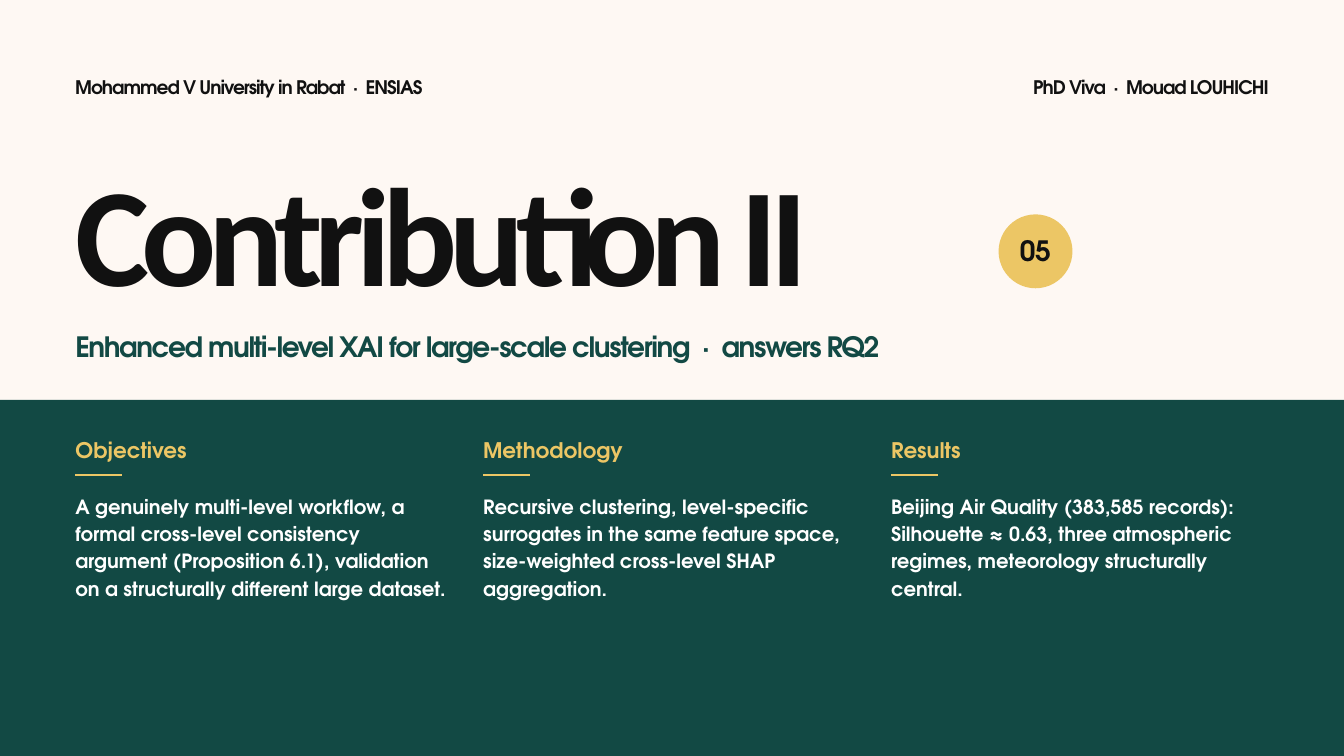
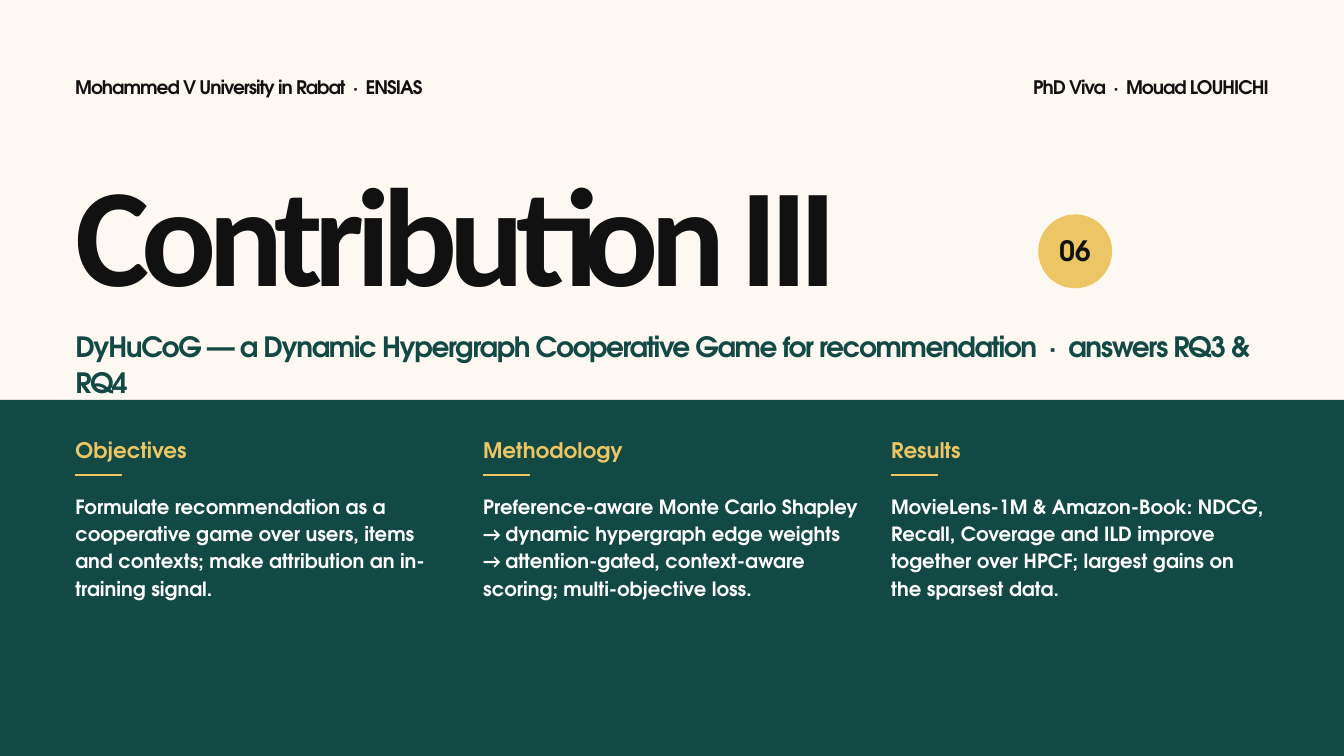
"""Build the two section-opening slides for Contributions II and III."""
from dataclasses import dataclass

from lxml.etree import SubElement
from pptx import Presentation
from pptx.dml.color import RGBColor as Color
from pptx.enum.shapes import MSO_CONNECTOR as Connector, MSO_SHAPE as Shape
from pptx.enum.text import MSO_ANCHOR as Anchor, PP_ALIGN as Align
from pptx.oxml.ns import qn
from pptx.util import Inches, Pt


@dataclass(frozen=True)
class Theme:
    cream: Color = Color.from_string("FEF8F3")
    green: Color = Color.from_string("124944")
    gold: Color = Color.from_string("ECC665")
    ink: Color = Color.from_string("111111")
    white: Color = Color.from_string("FFFFFF")
    font: str = "TeX Gyre Adventor"
    title_font: str = "Calibri"
    running: float = 20
    title: float = 150
    subtitle: float = 30
    number: float = 30
    heading: float = 23
    body: float = 21


theme = Theme()


def write(frame, text, *, size, color, leading, font=theme.font, tracking=0,
          align=Align.LEFT, anchor=Anchor.TOP):
    frame.word_wrap = True
    frame.vertical_anchor = anchor
    frame.margin_left = frame.margin_top = frame.margin_right = frame.margin_bottom = 0
    para = frame.paragraphs[0]
    para.alignment = align
    para.line_spacing = Pt(leading)
    for index, part in enumerate(text.split("→ ")):
        pieces = [(part, font)] if index == 0 else [("→ ", theme.title_font), (part, font)]
        for words, face in pieces:
            span = para.add_run()
            span.text = words
            span.font.name = face
            span.font.size = Pt(size)
            span.font.bold = True
            span.font.color.rgb = color
            if tracking:
                span._r.get_or_add_rPr().set("spc", str(round(tracking * 100)))


def add_block(page, shape, left, top, width, height, color):
    block = page.shapes.add_shape(shape, Inches(left), Inches(top), Inches(width), Inches(height))
    block.shadow.inherit = False
    block.fill.solid()
    block.fill.fore_color.rgb = color
    block.line.fill.background()
    return block


WIDTH, HEIGHT = 20, 11.25
MARGIN = 1.12
BAND_TOP = 5.95
COLUMN_WIDTH, COLUMN_STEP = 5.62, 6.07
RULE_TOP, RULE_LENGTH = 7.07, 0.7
BADGE = 1.1

HEADINGS = ["Objectives", "Methodology", "Results"]
SECTIONS = [
    ("Contribution II", "05", 14.86,
     "Enhanced multi-level XAI for large-scale clustering  ·  answers RQ2",
     ["A genuinely multi-level workflow, a formal cross-level consistency argument "
      "(Proposition 6.1), validation on a structurally different large dataset.",
      "Recursive clustering, level-specific surrogates in the same feature space, "
      "size-weighted cross-level SHAP aggregation.",
      "Beijing Air Quality (383,585 records): Silhouette ≈ 0.63, three atmospheric "
      "regimes, meteorology structurally central."]),
    ("Contribution III", "06", 15.45,
     "DyHuCoG — a Dynamic Hypergraph Cooperative Game for recommendation  ·  answers RQ3 & RQ4",
     ["Formulate recommendation as a cooperative game over users, items and contexts; "
      "make attribution an in-training signal.",
      "Preference-aware Monte Carlo Shapley → dynamic hypergraph edge weights "
      "→ attention-gated, context-aware scoring; multi-objective loss.",
      "MovieLens-1M & Amazon-Book: NDCG, Recall, Coverage and ILD improve together "
      "over HPCF; largest gains on the sparsest data."]),
]

running_style = dict(size=theme.running, color=theme.ink, leading=28, tracking=-1.1)
title_style = dict(size=theme.title, color=theme.ink, leading=153, tracking=-8.7,
                   font=theme.title_font)
subtitle_style = dict(size=theme.subtitle, color=theme.green, leading=38, tracking=-1.5)
number_style = dict(size=theme.number, color=theme.ink, leading=34,
                    align=Align.CENTER, anchor=Anchor.MIDDLE)
heading_style = dict(size=theme.heading, color=theme.gold, leading=28)
body_style = dict(size=theme.body, color=theme.white, leading=29.4)

deck = Presentation()
deck.slide_width = Inches(WIDTH)
deck.slide_height = Inches(HEIGHT)

for title, number, badge_left, subtitle, bodies in SECTIONS:
    page = deck.slides.add_slide(deck.slide_layouts[6])
    page.background.fill.solid()
    page.background.fill.fore_color.rgb = theme.cream

    texts = [
        (MARGIN, 1.08, 8, 0.4, "Mohammed V University in Rabat  ·  ENSIAS", running_style),
        (WIDTH - MARGIN - 8, 1.08, 8, 0.4, "PhD Viva  ·  Mouad LOUHICHI",
         dict(running_style, align=Align.RIGHT)),
        (MARGIN, 2.55, 16.25, 2.5, title, title_style),
        (MARGIN, 4.88, 17.75, 0.7, subtitle, subtitle_style),
    ]
    add_block(page, Shape.RECTANGLE, 0, BAND_TOP, WIDTH, HEIGHT - BAND_TOP, theme.green)
    badge = add_block(page, Shape.OVAL, badge_left, 3.19, BADGE, BADGE, theme.gold)
    write(badge.text_frame, number, **number_style)

    for column, (heading, body) in enumerate(zip(HEADINGS, bodies)):
        left = MARGIN + column * COLUMN_STEP
        texts.append((left, 6.5, COLUMN_WIDTH, 0.5, heading, heading_style))
        texts.append((left, 7.3, COLUMN_WIDTH, 3.4, body, body_style))
        rule = page.shapes.add_connector(Connector.STRAIGHT, Inches(left), Inches(RULE_TOP),
                                         Inches(left + RULE_LENGTH), Inches(RULE_TOP))
        rule.line.color.rgb = theme.gold
        rule.line.width = Pt(2.5)
        SubElement(rule._element.spPr, qn("a:effectLst"))

    for left, top, width, height, text, style in texts:
        box = page.shapes.add_textbox(Inches(left), Inches(top), Inches(width), Inches(height))
        write(box.text_frame, text, **style)

deck.save("out.pptx")
